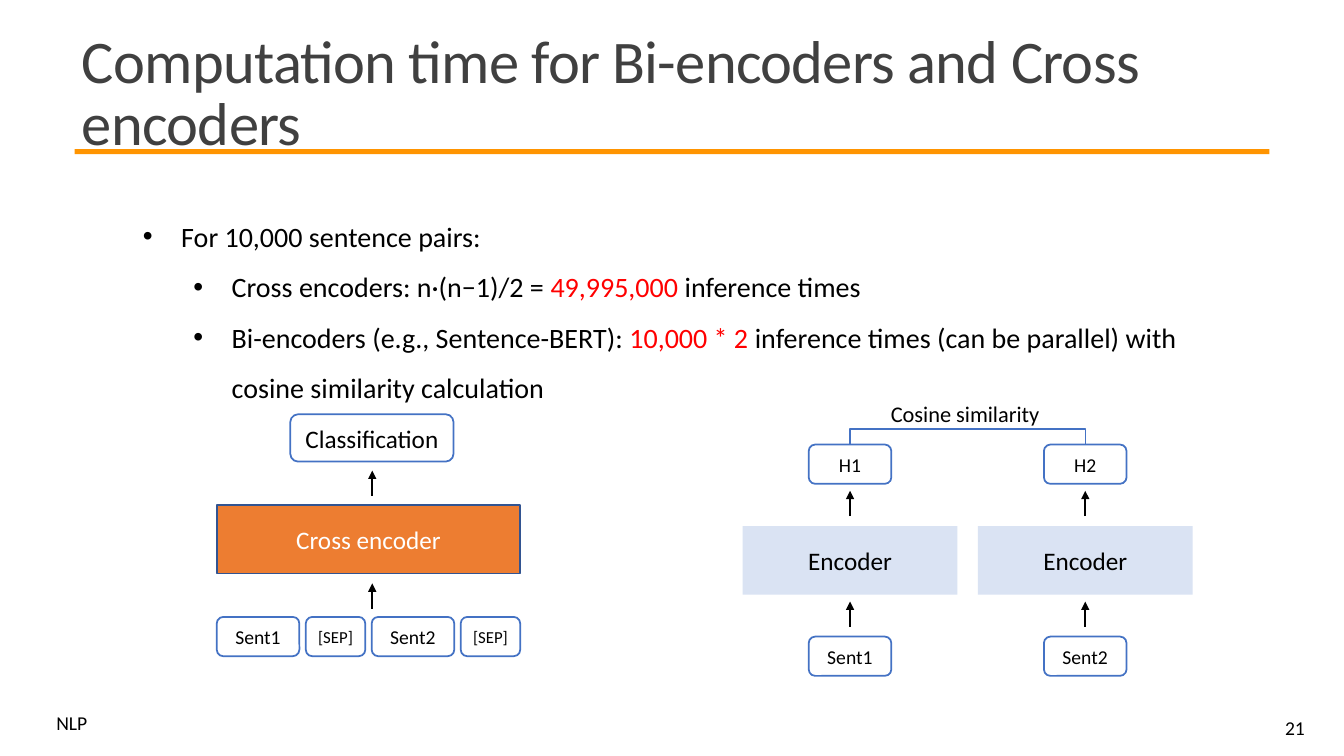
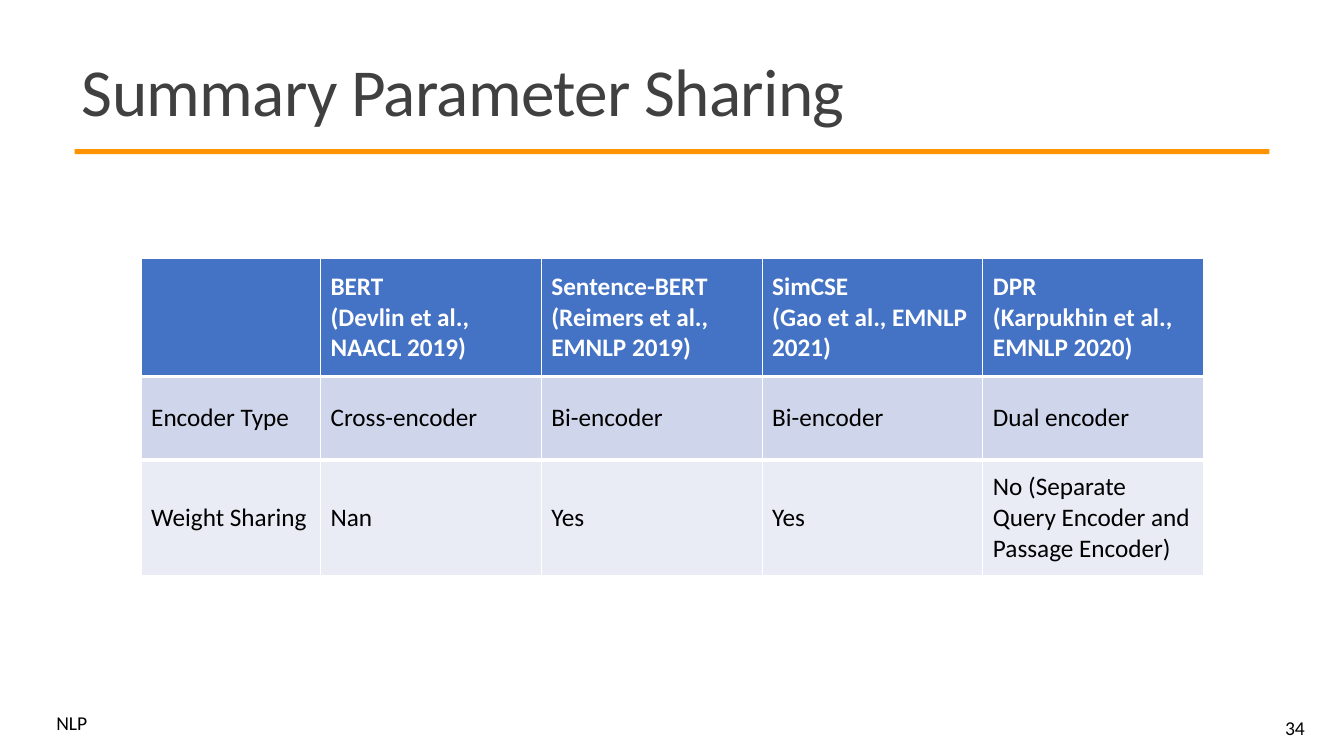
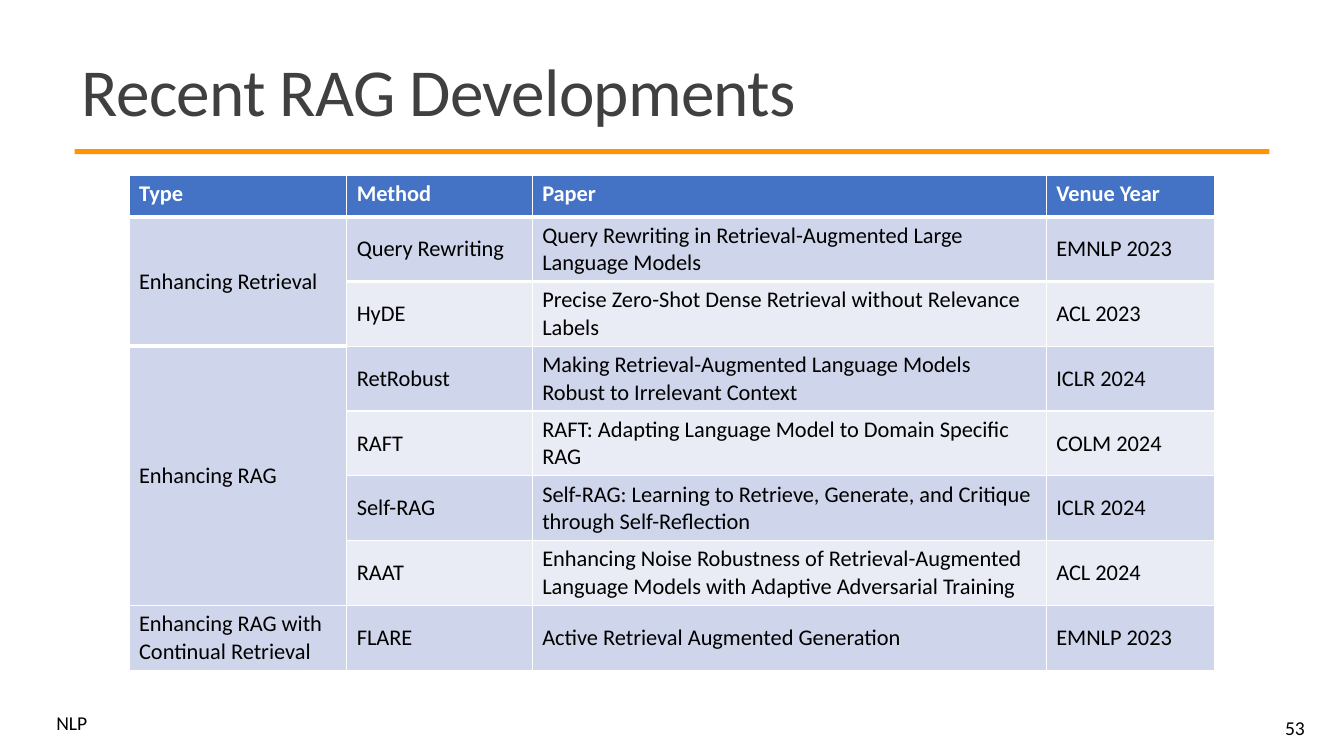
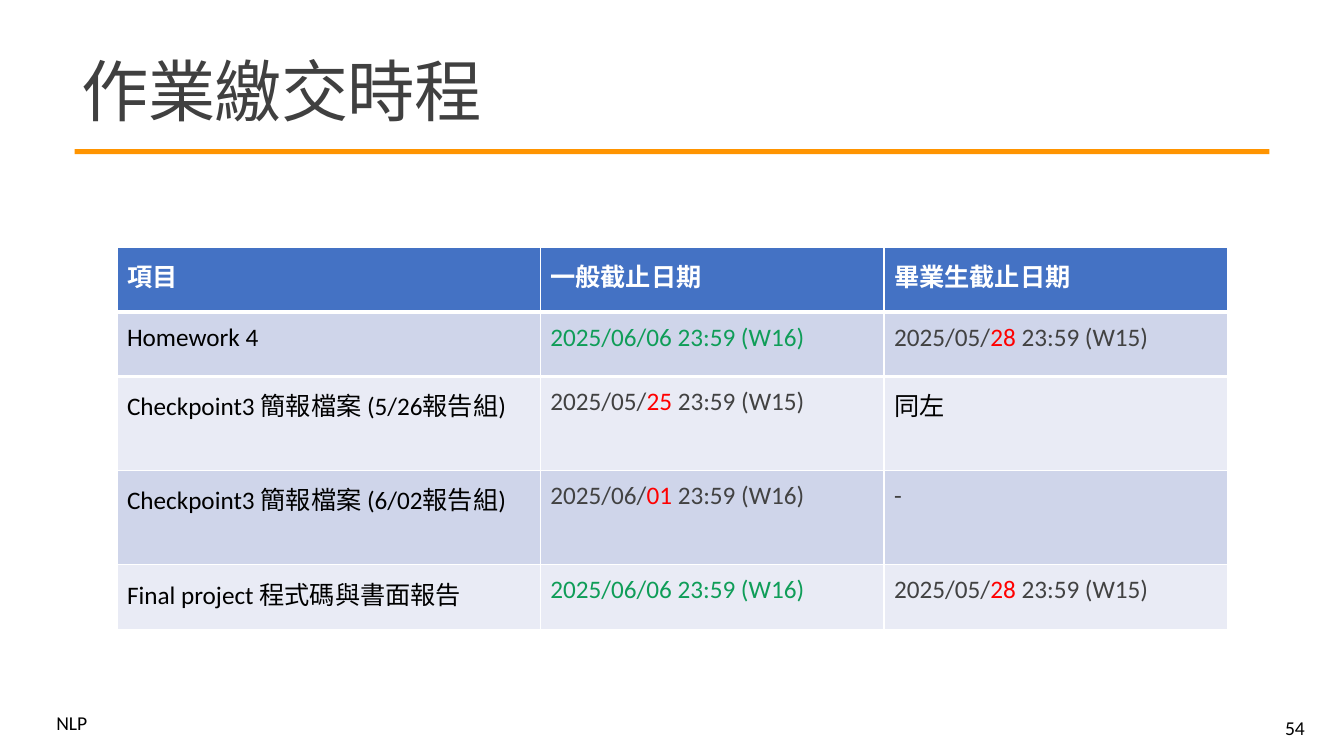
from lxml import etree
from pptx import Presentation, util as u
from pptx.dml.color import RGBColor
from pptx.enum import shapes, text
from pptx.oxml.ns import qn

C = {"ink": "000000", "title": "404040", "rule": "FF9400", "red": "FF0000",
     "green": "0F9D58", "gray": "424242", "white": "FFFFFF", "blue": "4472C4",
     "pale": "DAE3F3", "orange": "ED7D31", "navy": "325491",
     "odd": "CFD5EA", "even": "E9EBF5"}
TOP, MID, CENTER = text.MSO_ANCHOR.TOP, text.MSO_ANCHOR.MIDDLE, text.PP_ALIGN.CENTER
RECT, ROUND = shapes.MSO_SHAPE.RECTANGLE, shapes.MSO_SHAPE.ROUNDED_RECTANGLE

prs = Presentation()
prs.slide_width, prs.slide_height = u.Inches(13.33), u.Inches(7.5)
COL, ROW = prs.slide_width / 100, prs.slide_height / 100


def write(tf, words, size=18, color="ink", bold=False, align=None, line=None, spc=None):
    for i, words_p in enumerate(words.split("\n")):
        p = tf.paragraphs[0] if i == 0 else tf.add_paragraph()
        p.alignment, p.line_spacing = align, line
        for j, part in enumerate(words_p.split("|")):
            r = p.add_run()
            r.text = part
            r.font.size, r.font.bold, r.font.name = u.Pt(size), bold, "Calibri"
            r.font.color.rgb = RGBColor.from_string(C["red" if j % 2 else color])
            rPr = r.font._element
            etree.SubElement(rPr, qn("a:ea")).set("typeface", "Noto Sans CJK TC")
            if spc:
                rPr.set("spc", str(spc))


def box(s, x, y, w, h, words="", kind=None, fill=None, border=None, anchor=None, **fmt):
    at = [round(v) for v in (x * COL, y * ROW, w * COL, h * ROW)]
    if kind is None:
        sp = s.shapes.add_textbox(*at)
    else:
        sp = s.shapes.add_shape(kind, *at)
        sp.shadow.inherit = False
        if fill:
            sp.fill.solid()
            sp.fill.fore_color.rgb = RGBColor.from_string(C[fill])
        else:
            sp.fill.background()
        if border:
            sp.line.color.rgb = RGBColor.from_string(C[border])
            sp.line.width = u.Pt(1.25)
        else:
            sp.line.fill.background()
        anchor, fmt = MID, {"align": CENTER, **fmt}
    tf = sp.text_frame
    tf.word_wrap = True
    tf.vertical_anchor = anchor
    if words:
        write(tf, words, **fmt)
    return sp


slides = []
for title, number, size in (
        ("Computation time for Bi-encoders and Cross encoders", 21, 43.2),
        ("Summary Parameter Sharing", 34, 48),
        ("Recent RAG Developments", 53, 48),
        ("作業繳交時程", 54, 48)):
    s = prs.slides.add_slide(prs.slide_layouts[6])
    box(s, 5.55, 19.73, 88.9, 0.67, kind=RECT, fill="rule")
    box(s, 3.45, 94, 4.6, 3.9, "NLP", size=14, line=0.8)
    box(s, 5.36, 5.2, 89.55, 15.07, title, anchor=MID, size=size, color="title", line=0.85, spc=-50)
    box(s, 87.1, 93.6, 10.73, 5.33, str(number), anchor=MID, size=14, align=text.PP_ALIGN.RIGHT)
    slides.append(s)

s = slides[0]
sp = box(s, 9.9, 26.13, 83.85, 27.6,
         "For 10,000 sentence pairs:\n"
         "Cross encoders: n·(n−1)/2 = |49,995,000| inference times\n"
         "Bi-encoders (e.g., Sentence-BERT): |10,000 * 2 |inference times "
         "(can be parallel) with cosine similarity calculation", size=20, line=1.5)
for p, level in zip(sp.text_frame.paragraphs, (0, 1, 1)):
    p.level = level
    pPr = p._p.get_or_add_pPr()
    pPr.set("marL", str(u.Inches(0.38 + 0.5 * level)))
    pPr.set("indent", str(u.Inches(-0.38)))
    etree.SubElement(pPr, qn("a:buFont")).set("typeface", "Arial")
    etree.SubElement(pPr, qn("a:buChar")).set("char", "•")

node = {"kind": ROUND, "border": "blue"}
node_w, node_h, sep_w = 6.15, 5.2, 4.43

cross_x, cross_w = 16.13, 22.58
box(s, cross_x, 66.8, cross_w, 9.07, "Cross encoder", kind=RECT, fill="orange", border="navy", color="white")
box(s, 21.6, 54.8, 12.15, 6.27, "Classification", **node)
gap = (cross_w - 2 * (node_w + sep_w)) / 3
x = cross_x
for word, w, size in (("Sent1", node_w, 14), ("[SEP]", sep_w, 12),
                      ("Sent2", node_w, 14), ("[SEP]", sep_w, 12)):
    box(s, x, 81.6, w, node_h, word, size=size, **node)
    x += w + gap

encoder_w = 15.98
centers = [63.25, 80.75]
for i, center in enumerate(centers, 1):
    box(s, center - encoder_w / 2, 69.6, encoder_w, 9.07, "Encoder", kind=RECT, fill="pale")
    for word, y in ((f"H{i}", 58.8), (f"Sent{i}", 84.2)):
        box(s, center - node_w / 2, y, node_w, node_h, word, size=14, **node)
box(s, 64.65, 52.27, 14.7, 4.93, "Cosine similarity ", size=16, align=CENTER)

arrows = [(27.7, 80.53), (27.7, 65.6)] + [(c, y) for c in centers for y in (82.93, 68.27)]
for x, y in arrows:
    c = s.shapes.add_connector(shapes.MSO_CONNECTOR.STRAIGHT, round(x * COL), round(y * ROW),
                               round(x * COL), round((y - 3.35) * ROW))
    c.line.color.rgb = RGBColor.from_string(C["ink"])
    c.line.width = u.Pt(1.5)
    etree.SubElement(c.line._get_or_add_ln(), qn("a:tailEnd")).set("type", "triangle")
    etree.SubElement(c._element.spPr, qn("a:effectLst"))

mid_x, mid_y = sum(centers) / 2 * COL, 58.8 * ROW
half_span, half_depth = (centers[1] - centers[0]) / 2 * COL, u.Inches(0.01) / 2
c = s.shapes.add_connector(shapes.MSO_CONNECTOR.ELBOW,
                           round(mid_x + half_depth), round(mid_y + half_span),
                           round(mid_x - half_depth), round(mid_y - half_span))
c.line.color.rgb = RGBColor.from_string(C["blue"])
c.line.width = u.Pt(1)
spPr = c._element.spPr
spPr.find(qn("a:xfrm")).set("rot", "5400000")
gd = etree.SubElement(spPr.find(qn("a:prstGeom")).find(qn("a:avLst")), qn("a:gd"))
gd.set("name", "adj1")
gd.set("fmla", "val 1600000")
etree.SubElement(spPr, qn("a:effectLst"))

sharing = [
    ["", "BERT\n(Devlin et al., NAACL 2019)", "Sentence-BERT\n(Reimers et al., EMNLP 2019)",
     "SimCSE\n(Gao et al., EMNLP 2021)", "DPR\n(Karpukhin et al., EMNLP 2020)"],
    ["Encoder Type", "Cross-encoder", "Bi-encoder", "Bi-encoder", "Dual encoder"],
    ["Weight Sharing", "Nan", "Yes", "Yes", "No (Separate Query Encoder and Passage Encoder)"]]
papers = [
    ["Type", "Method", "Paper", "Venue Year"],
    ["Enhancing Retrieval", "Query Rewriting",
     "Query Rewriting in Retrieval-Augmented Large Language Models", "EMNLP 2023"],
    ["", "HyDE", "Precise Zero-Shot Dense Retrieval without Relevance Labels", "ACL 2023"],
    ["Enhancing RAG", "RetRobust",
     "Making Retrieval-Augmented Language Models Robust to Irrelevant Context", "ICLR 2024"],
    ["", "RAFT", "RAFT: Adapting Language Model to Domain Specific RAG", "COLM 2024"],
    ["", "Self-RAG",
     "Self-RAG: Learning to Retrieve, Generate, and Critique through Self-Reflection", "ICLR 2024"],
    ["", "RAAT", "Enhancing Noise Robustness of Retrieval-Augmented Language Models "
     "with Adaptive Adversarial Training", "ACL 2024"],
    ["Enhancing RAG with Continual Retrieval", "FLARE",
     "Active Retrieval Augmented Generation", "EMNLP 2023"]]
deadlines = [
    ["項目", "一般截止日期", "畢業生截止日期"],
    ["Homework 4", "2025/06/06 23:59 (W16)", "2025/05/|28| 23:59 (W15)"],
    ["Checkpoint3 簡報檔案 (5/26報告組)", "2025/05/|25| 23:59 (W15)", "同左"],
    ["Checkpoint3 簡報檔案 (6/02報告組)", "2025/06/|01| 23:59 (W16)", "-"],
    ["Final project 程式碼與書面報告", "2025/06/06 23:59 (W16)", "2025/05/|28| 23:59 (W15)"]]

for s, data, x, y, widths, heights, size, head_anchor, anchor, pad, merges in (
        (slides[1], sharing, 10.5, 34.2, [13.35] + [16.43] * 4, [15.6, 11.07, 15.33],
         18, MID, MID, 0.05, []),
        (slides[2], papers, 9.6, 23.2, [16.2, 13.8, 38.25, 12.53], [5.47] + [8.57] * 7,
         16, TOP, MID, 0.05, [(1, 2), (3, 6)]),
        (slides[3], deadlines, 8.7, 32.75, [31.5, 25.58, 25.58], [8.53, 8.53, 12.45, 12.45, 8.53],
         18, TOP, TOP, 0.1, [])):
    tbl = s.shapes.add_table(len(data), len(widths), round(x * COL), round(y * ROW),
                             round(sum(widths) * COL), round(sum(heights) * ROW)).table
    for column, w in zip(tbl.columns, widths):
        column.width = round(w * COL)
    for row, h in zip(tbl.rows, heights):
        row.height = round(h * ROW)
    for first, last in merges:
        tbl.cell(first, 0).merge(tbl.cell(last, 0))
    for i, line in enumerate(data):
        for j, words in enumerate(line):
            cell = tbl.cell(i, j)
            cell.vertical_anchor = anchor if i else head_anchor
            cell.margin_top = cell.margin_bottom = u.Inches(pad)
            if i < 2:
                ln = etree.SubElement(cell._tc.get_or_add_tcPr(), qn("a:lnT" if i else "a:lnB"))
                ln.set("w", str(u.Pt(3)))
                clr = etree.SubElement(etree.SubElement(ln, qn("a:solidFill")), qn("a:srgbClr"))
                clr.set("val", C["white"])
            cell.fill.solid()
            fill = "blue" if i == 0 else "odd" if i % 2 else "even"
            cell.fill.fore_color.rgb = RGBColor.from_string(C[fill])
            if i == 0:
                color = "white"
            elif words.startswith("2025/06/06"):
                color = "green"
            elif words.startswith(("2025", "-")):
                color = "gray"
            else:
                color = "ink"
            if words:
                write(cell.text_frame, words, size=size, color=color, bold=i == 0)

prs.save("out.pptx")
